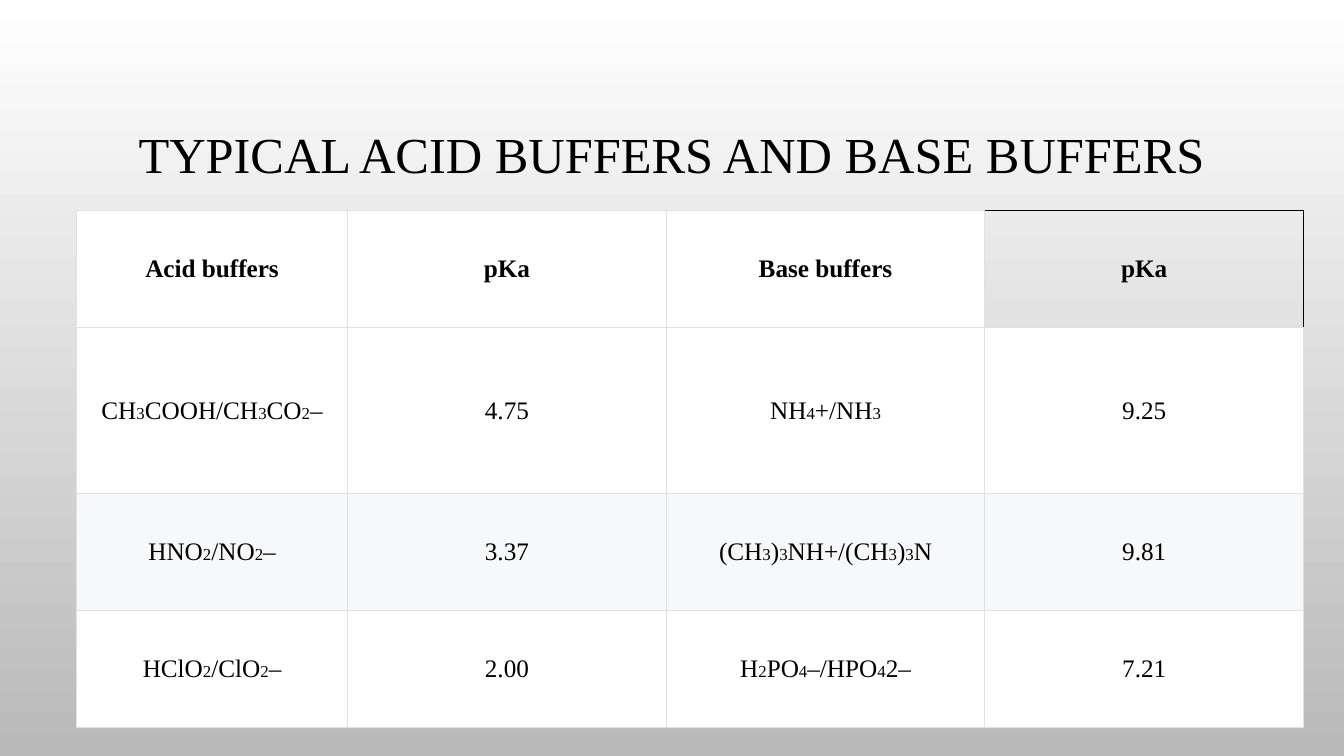
from lxml.etree import SubElement
from pptx import Presentation
from pptx.dml.color import RGBColor
from pptx.enum.text import MSO_ANCHOR as Anchor, PP_ALIGN as Align
from pptx.oxml.ns import qn
from pptx.util import Cm, Pt

TITLE = "TYPICAL ACID BUFFERS AND BASE BUFFERS"
ROWS = [
    ("Acid buffers", "pKa", "Base buffers", "pKa"),
    ("CH_3_COOH/CH_3_CO_2_–", "4.75", "NH_4_+/NH_3", "9.25"),
    ("HNO_2_/NO_2_–", "3.37", "(CH_3_)_3_NH+/(CH_3_)_3_N", "9.81"),
    ("HClO_2_/ClO_2_–", "2.00", "H_2_PO_4_–/HPO_4_2–", "7.21"),
]
COL_WIDTHS = [6.83, 8.03, 8.03, 8.03]
ROW_HEIGHTS = [2.95, 4.17, 2.95, 2.95]
COLORS = {
    "text": "000000",
    "white": "FFFFFF",
    "band": "F6F8FA",
    "border": "DFE2E5",
    "bg_end": "B9B9B9",
}
FONT = "Times New Roman"


def rgb(name):
    return RGBColor.from_string(COLORS[name])


def add_run(p, text, size, bold=False):
    r = p.add_run()
    r.text = text
    r.font.name = FONT
    r.font.size = Pt(size)
    r.font.bold = bold
    r.font.color.rgb = rgb("text")


def set_borders(cell, colors):
    tc_pr = cell._tc.get_or_add_tcPr()
    for side, color in zip("LRTB", colors):
        ln = SubElement(tc_pr, qn(f"a:ln{side}"), w=str(Pt(0.75)))
        fill = SubElement(ln, qn("a:solidFill"))
        SubElement(fill, qn("a:srgbClr"), val=COLORS[color])


def fill_cell(cell, text, row, col):
    plain = row == 0 and col == len(COL_WIDTHS) - 1
    outer = "text" if plain else "border"
    set_borders(cell, ("border", outer, outer, "border"))
    if plain:
        cell.fill.background()
    else:
        cell.fill.solid()
        cell.fill.fore_color.rgb = rgb("band" if row == 2 else "white")
        cell.margin_left = cell.margin_right = Cm(0.36)
        cell.margin_top = cell.margin_bottom = Cm(0.15)
    cell.vertical_anchor = Anchor.MIDDLE
    p = cell.text_frame.paragraphs[0]
    p.alignment = Align.CENTER
    for i, part in enumerate(text.split("_")):
        if part:
            add_run(p, part, 12 if i % 2 else 18, row == 0)


def add_buffer_table(s):
    frame = s.shapes.add_table(
        len(ROWS), len(COL_WIDTHS), Cm(1.93), Cm(5.31),
        Cm(sum(COL_WIDTHS)), Cm(sum(ROW_HEIGHTS)))
    table = frame.table
    table.first_row = table.horz_banding = False
    for column, width in zip(table.columns, COL_WIDTHS):
        column.width = Cm(width)
    for i, (height, texts) in enumerate(zip(ROW_HEIGHTS, ROWS)):
        table.rows[i].height = Cm(height)
        for j, text in enumerate(texts):
            fill_cell(table.cell(i, j), text, i, j)


def add_title(s):
    tf = s.shapes.add_textbox(Cm(2.54), Cm(1.73), Cm(28.78), Cm(4.45)).text_frame
    tf.word_wrap = True
    tf.vertical_anchor = Anchor.MIDDLE
    p = tf.paragraphs[0]
    p.alignment = Align.CENTER
    p.line_spacing = 0.9
    add_run(p, TITLE, 36)


def main():
    prs = Presentation()
    prs.slide_width, prs.slide_height = Cm(33.87), Cm(19.05)
    s = prs.slides.add_slide(prs.slide_layouts[6])
    bg = s.background.fill
    bg.gradient()
    bg.gradient_angle = 270
    for stop, position, color in zip(bg.gradient_stops, (0, 1), ("white", "bg_end")):
        stop.position = position
        stop.color.rgb = rgb(color)
    add_buffer_table(s)
    add_title(s)
    prs.save("out.pptx")


if __name__ == "__main__":
    main()
